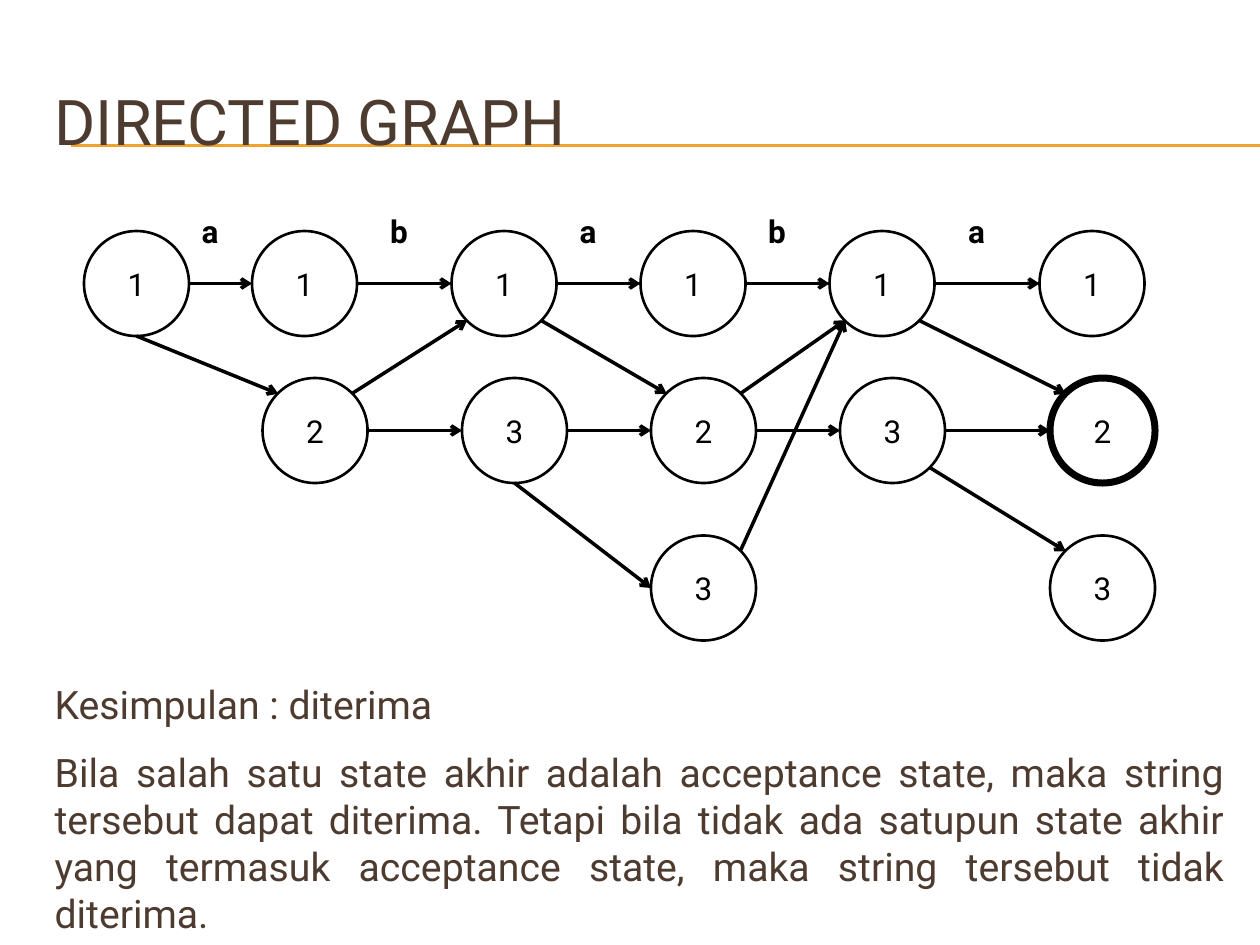
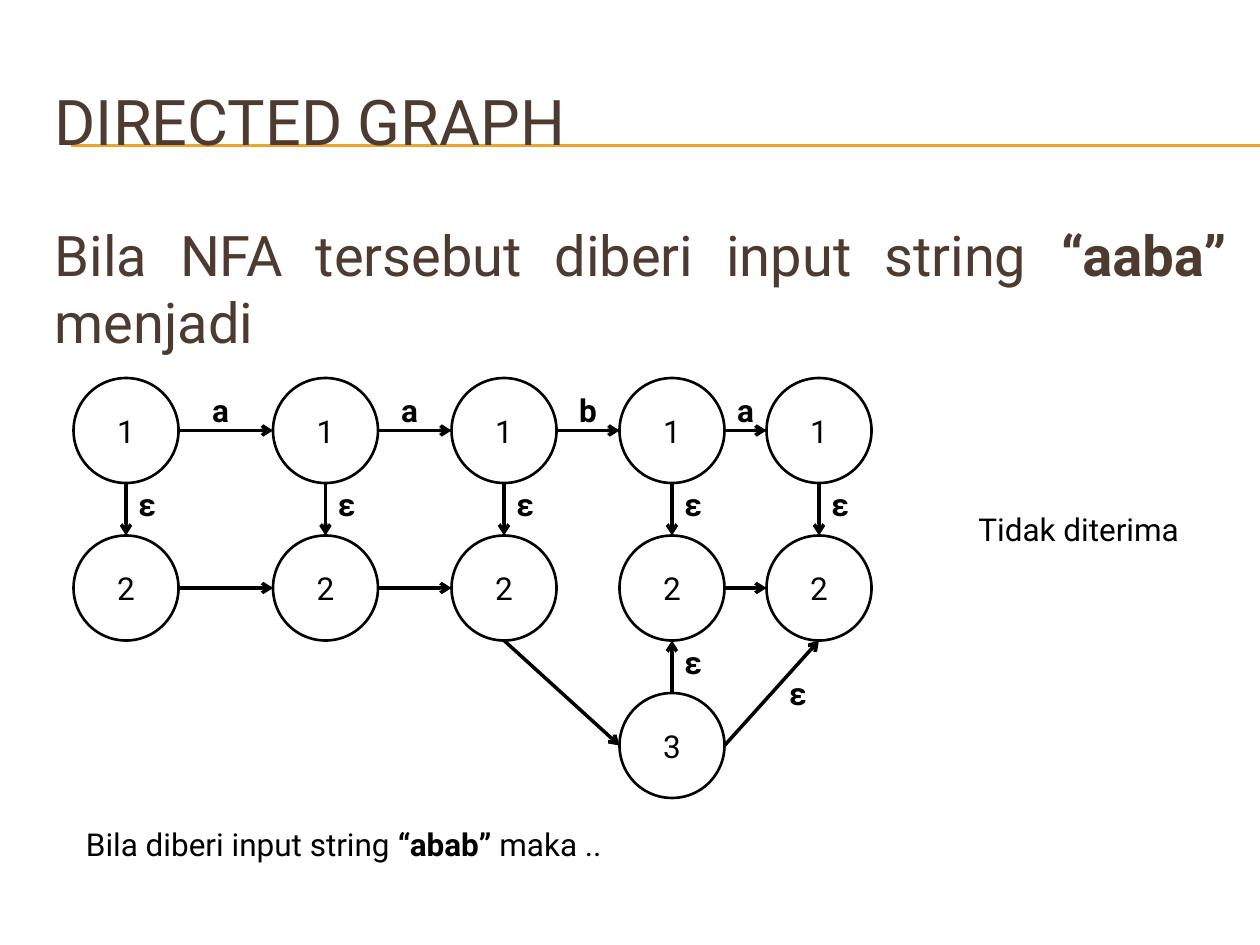
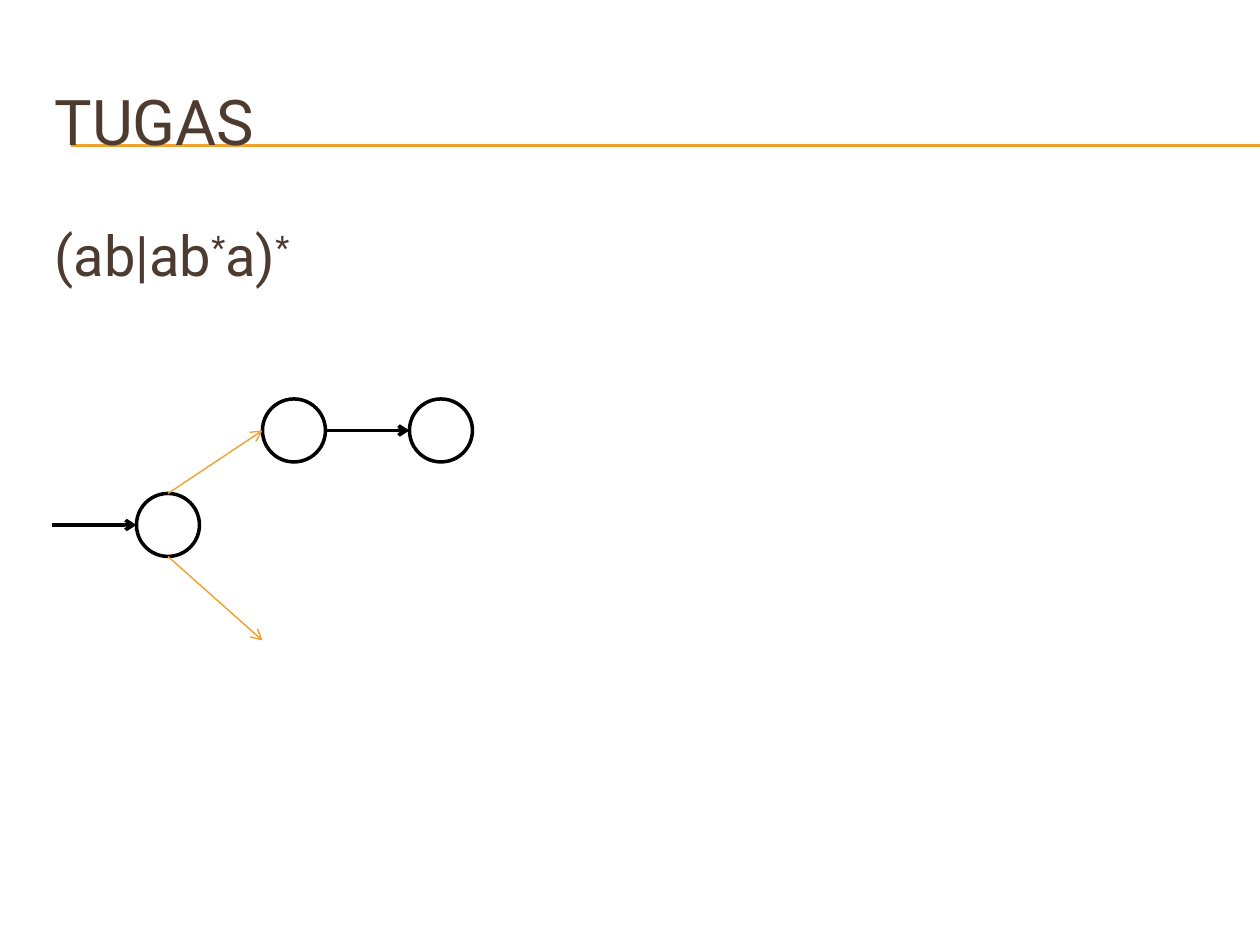
import lxml.etree
import pptx
import pptx.dml.color
import pptx.enum.shapes
import pptx.enum.text
import pptx.oxml.ns
import pptx.util

FONT = "Roboto"
BLACK, WHITE, BROWN, GOLD = "000000", "FFFFFF", "4E3B30", "F0A22E"
CELL = pptx.util.Inches(1) // 12  # the grid has twelve cells to the inch
LEFT, WIDTH = 4, 114  # title and body column

# Points on a circle, as shares of its diameter
SIDES = {"N": (0.5, 0), "E": (1, 0.5), "S": (0.5, 1), "W": (0, 0.5),
         "NE": (0.85, 0.15), "SE": (0.85, 0.85),
         "SW": (0.15, 0.85), "NW": (0.15, 0.15)}


def color(hex_string):
    return pptx.dml.color.RGBColor.from_string(hex_string)


def write(paragraph, spans, size, hex_string, align):
    """Fill a paragraph with (text, style) spans; style is "", "bold" or "super"."""
    paragraph.alignment = align
    paragraph.font.name = FONT
    paragraph.font.size = pptx.util.Pt(size)
    paragraph.font.color.rgb = color(hex_string)
    for text, style in spans:
        span = paragraph.add_run()
        span.text = text
        if style == "bold":
            span.font.bold = True
        elif style == "super":
            span._r.get_or_add_rPr().set("baseline", "30000")


ALIGN = pptx.enum.text.PP_ALIGN
ANCHOR = pptx.enum.text.MSO_ANCHOR
FIT = pptx.enum.text.MSO_AUTO_SIZE
STRAIGHT = pptx.enum.shapes.MSO_CONNECTOR.STRAIGHT
CIRCLE = pptx.enum.shapes.MSO_SHAPE.FLOWCHART_CONNECTOR

# Slide 1: states reached while reading "ababa"; lower rows sit one cell right
columns = [8, 24, 43, 61, 79, 99]
accepted_nodes = {f"A{i}": (x, 22, "1") for i, x in enumerate(columns, 1)}
for i, state in enumerate("23232", 2):
    accepted_nodes[f"B{i}"] = (columns[i - 1] + 1, 36, state)
for i in (4, 6):
    accepted_nodes[f"C{i}"] = (columns[i - 1] + 1, 51, "3")
accepted_edges = [(f"A{i} E", f"A{i + 1} W") for i in range(1, 6)]
accepted_edges += [(f"B{i} E", f"B{i + 1} W") for i in range(2, 6)]
accepted_edges += [("A1 S", "B2 NW"), ("B2 NE", "A3 SW"), ("A3 SE", "B4 NW"),
                   ("B4 NE", "A5 SW"), ("C4 NE", "A5 SW"), ("B3 S", "C4 W"),
                   ("A5 SE", "B6 NW"), ("B5 SE", "C6 NW")]

# Slide 2: states reached while reading "aaba"
columns = [7, 26, 43, 59, 73]
rejected_nodes = {"C4": (columns[3], 66, "3")}
for i, x in enumerate(columns, 1):
    rejected_nodes[f"A{i}"] = (x, 36, "1")
    rejected_nodes[f"B{i}"] = (x, 51, "2")
rejected_edges = [(f"A{i} E", f"A{i + 1} W") for i in range(1, 5)]
rejected_edges += [(f"A{i} S", f"B{i} N") for i in range(1, 6)]
rejected_edges += [(f"B{i} E", f"B{i + 1} W") for i in (1, 2, 4)]
rejected_edges += [("B3 S", "C4 W"), ("C4 N", "B4 S"), ("C4 E", "B5 S")]
rejected_labels = [(x + 2, 45, "ε") for x in columns]
rejected_labels += [(x, 36, letter) for x, letter in zip((16, 34, 51, 66), "aaba")]
rejected_labels += [(61, 60, "ε"), (71, 63, "ε")]

slides = [
    {"title": "DIRECTED GRAPH",
     "body_top": 64.2, "body_height": 20.8, "body_size": 22.4,
     "body": [
         (ALIGN.LEFT, [("Kesimpulan : diterima", "")]),
         (ALIGN.JUSTIFY, [("Bila salah satu state akhir adalah acceptance state, maka "
                           "string tersebut dapat diterima. Tetapi bila tidak ada satupun "
                           "state akhir yang termasuk acceptance state, maka string "
                           "tersebut tidak diterima.", "")])],
     "nodes": accepted_nodes, "diameter": 10, "outline": 1.5, "accepting": "B6",
     "edges": accepted_edges, "branches": [],
     "labels": [(x, 19, letter) for x, letter in zip((15, 33, 51, 69, 88), "ababa")],
     "notes": []},
    {"title": "DIRECTED GRAPH",
     "body_top": 20.4, "body_height": 15.6, "body_size": 32,
     "body": [(ALIGN.JUSTIFY, [("Bila NFA tersebut diberi input string ", ""),
                               ("“aaba” ", "bold"), ("menjadi", "")])],
     "nodes": rejected_nodes, "diameter": 10, "outline": 1.5, "accepting": None,
     "edges": rejected_edges, "branches": [], "labels": rejected_labels,
     "notes": [(92, 48, 22, [("Tidak diterima", "")]),
               (7, 78, 100, [("Bila diberi input string ", ""),
                             ("“abab” ", "bold"), ("maka ..", "")])]},
    {"title": "TUGAS",
     "body_top": 20.4, "body_height": 59.4, "body_size": 32,
     "body": [(ALIGN.LEFT, [("(ab|ab", ""), ("*", "super"), ("a)", ""), ("*", "super")])],
     "nodes": {"start": (13, 47, ""), "upper": (25, 38, ""), "last": (39, 38, "")},
     "diameter": 6, "outline": 2, "accepting": None,
     "edges": [((5, 50), "start W"), ("upper E", "last W")],
     "branches": [("start N", "upper W"), ("start S", (25, 61))],
     "labels": [], "notes": []},
]

deck = pptx.Presentation()
deck.slide_width = pptx.util.Inches(10)
deck.slide_height = pptx.util.Inches(7.5)
layout = deck.slide_layouts[1]

for number, content in enumerate(slides):
    page = deck.slides.add_slide(layout)

    # Gold double rule under the title, kept in the shared layout
    if number == 0:
        for i, height in enumerate((1.15, 1.16)):
            y = pptx.util.Inches(height)
            rule = page.shapes.add_connector(
                STRAIGHT, pptx.util.Inches(0.56), y, deck.slide_width, y)
            rule.line.color.rgb = color(GOLD)
            rule.line.width = pptx.util.Pt(0.75)
            lxml.etree.SubElement(rule.element.spPr, pptx.oxml.ns.qn("a:effectLst"))
            rule.element.nvCxnSpPr.cNvPr.id = 20 + i
            layout.shapes.element.append(rule.element)

    # Title and body
    title, body = page.shapes.title, page.placeholders[1]
    for box, top, height in ((title, 6, 11),
                             (body, content["body_top"], content["body_height"])):
        box.left, box.top = LEFT * CELL, int(top * CELL)
        box.width, box.height = WIDTH * CELL, int(height * CELL)
        box.text_frame.auto_size = FIT.NONE
    title.text_frame.vertical_anchor = ANCHOR.MIDDLE
    write(title.text_frame.paragraphs[0], [(content["title"], "")], 36, BROWN, ALIGN.LEFT)
    for i, (align, spans) in enumerate(content["body"]):
        para = body.text_frame.add_paragraph() if i else body.text_frame.paragraphs[0]
        if i:
            para.space_before = pptx.util.Pt(12)
        write(para, spans, content["body_size"], BROWN, align)
        properties = para._p.get_or_add_pPr()
        properties.set("marL", "0")
        properties.set("indent", "0")
        properties.insert_element_before(
            lxml.etree.Element(pptx.oxml.ns.qn("a:buNone")), "a:tabLst", "a:defRPr")

    # States
    diameter = content["diameter"]
    for name, (x, y, state) in content["nodes"].items():
        node = page.shapes.add_shape(
            CIRCLE, x * CELL, y * CELL, diameter * CELL, diameter * CELL)
        node.shadow.inherit = False
        node.fill.solid()
        node.fill.fore_color.rgb = color(WHITE)
        node.line.color.rgb = color(BLACK)
        node.line.width = pptx.util.Pt(
            4 if name == content["accepting"] else content["outline"])
        if state:
            node.text_frame.vertical_anchor = ANCHOR.MIDDLE
            write(node.text_frame.paragraphs[0], [(state, "")], 18, BLACK, ALIGN.CENTER)

    # Arrows between states
    for edges, pen, weight in ((content["edges"], BLACK, 2),
                               (content["branches"], GOLD, 0.79)):
        for edge in edges:
            points = []
            for end in edge:
                if isinstance(end, str):
                    name, side = end.split()
                    x, y, state = content["nodes"][name]
                    across, down = SIDES[side]
                    end = (x + across * diameter, y + down * diameter)
                points += [int(length * CELL) for length in end]
            arrow = page.shapes.add_connector(STRAIGHT, *points)
            arrow.line.color.rgb = color(pen)
            arrow.line.width = pptx.util.Pt(weight)
            lxml.etree.SubElement(
                arrow.line._get_or_add_ln(), pptx.oxml.ns.qn("a:tailEnd"), type="arrow")
            lxml.etree.SubElement(arrow.element.spPr, pptx.oxml.ns.qn("a:effectLst"))

    # Input letters beside the arrows
    for x, y, letter in content["labels"]:
        box = page.shapes.add_textbox(x * CELL, y * CELL, 10 * CELL, 6 * CELL)
        box.text_frame.word_wrap = True
        box.text_frame.vertical_anchor = ANCHOR.MIDDLE
        write(box.text_frame.paragraphs[0], [(letter, "bold")], 18, BLACK, ALIGN.CENTER)

    # Remarks
    for x, y, width, spans in content["notes"]:
        box = page.shapes.add_textbox(x * CELL, y * CELL, width * CELL, int(4.8 * CELL))
        box.text_frame.word_wrap = True
        box.text_frame.auto_size = FIT.SHAPE_TO_FIT_TEXT
        write(box.text_frame.paragraphs[0], spans, 18, BLACK, ALIGN.LEFT)

deck.save("out.pptx")
